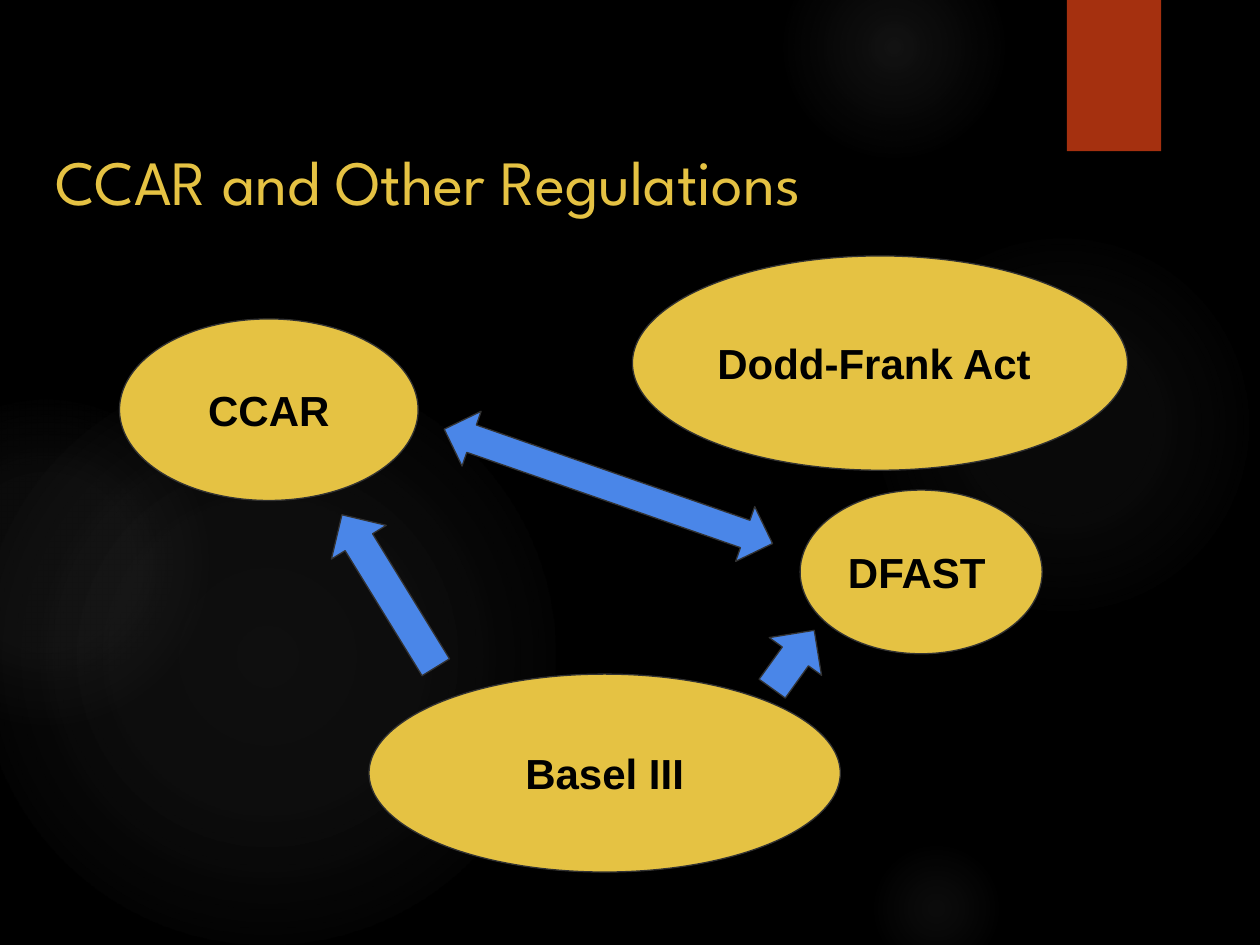
from lxml import etree
from pptx import Presentation
from pptx.dml.color import RGBColor
from pptx.enum import shapes, text
from pptx.oxml.ns import nsdecls, qn
from pptx.util import Cm, Pt

BLACK = RGBColor(0x00, 0x00, 0x00)
GOLD = RGBColor(0xE5, 0xC2, 0x43)
BLUE = RGBColor(0x4A, 0x86, 0xE8)
RUST = RGBColor(0xA5, 0x30, 0x0F)
OUTLINE = RGBColor(0x32, 0x32, 0x32)
GLOW = RGBColor(0x84, 0x84, 0x84)

KIND = shapes.MSO_SHAPE
CENTER, LEFT = text.PP_ALIGN.CENTER, text.PP_ALIGN.LEFT
INSET = Cm(0.25)

# left, top, diameter in cm; (position %, opacity %) from the centre outwards
GLOWS = [
    (17.5, 4.65, 7.82, [(0, 7), (36, 6), (69, 0)]),
    (15.8, -1.27, 4.45, [(0, 14), (36, 7), (73, 0)]),
    (17.5, 16.94, 2.74, [(0, 9), (36, 5), (66, 0)]),
    (-0.43, 7.42, 11.63, [(0, 11), (36, 10), (75, 0)]),
    (-2.34, 8.05, 6.55, [(0, 8), (36, 8), (72, 0)]),
]

# left, top, width, height in cm from the corner of the diagram
REGULATIONS = [
    ("CCAR", 0, 1.27, 6.02, 3.66, CENTER),
    ("Dodd-Frank Act", 10.34, 0, 9.98, 4.32, LEFT),
    ("Basel III", 5.03, 8.43, 9.5, 3.99, CENTER),
    ("DFAST", 13.72, 4.72, 4.88, 3.3, LEFT),
]
LINKS = [
    (KIND.LEFT_RIGHT_ARROW, 6.35, 4.06, 7.01, 1.17, 19.2),
    (KIND.UP_ARROW, 4.78, 4.95, 1.3, 3.61, 328.4),
    (KIND.UP_ARROW, 12.93, 7.41, 1.3, 1.45, 35.8),
]


def add_plain_shape(slide, kind, left, top, width, height, fill, outline=None):
    shape = slide.shapes.add_shape(kind, Cm(left), Cm(top), Cm(width), Cm(height))
    shape.shadow.inherit = False
    shape.fill.solid()
    shape.fill.fore_color.rgb = fill
    if outline is None:
        shape.line.fill.background()
    else:
        shape.line.color.rgb = outline
        shape.line.width = Pt(0.75)
    return shape


def write_line(frame, wording, font_name, size, color, align, anchor, bold=False):
    frame.margin_left = frame.margin_right = INSET
    frame.margin_top = frame.margin_bottom = INSET
    frame.word_wrap = True
    frame.vertical_anchor = anchor
    paragraph = frame.paragraphs[0]
    paragraph.text = wording
    paragraph.alignment = align
    font = paragraph.runs[0].font
    font.name, font.size, font.bold = font_name, Pt(size), bold
    font.color.rgb = color


def fade_outwards(shape, stops):
    """Replace the solid fill with a round gradient that turns transparent."""
    stop_xml = "".join(
        f'<a:gs pos="{position * 1000}"><a:srgbClr val="{GLOW}">'
        f'<a:alpha val="{opacity * 1000}"/></a:srgbClr></a:gs>'
        for position, opacity in stops
    )
    gradient = etree.fromstring(
        f'<a:gradFill {nsdecls("a")} rotWithShape="1"><a:gsLst>{stop_xml}</a:gsLst>'
        '<a:path path="circle">'
        '<a:fillToRect l="50000" t="50000" r="50000" b="50000"/>'
        "</a:path></a:gradFill>"
    )
    properties = shape._element.spPr
    properties.replace(properties.find(qn("a:solidFill")), gradient)


def add_backdrop(slide, left, top):
    slide.background.fill.solid()
    slide.background.fill.fore_color.rgb = BLACK
    for x, y, diameter, stops in GLOWS:
        glow = add_plain_shape(slide, KIND.OVAL, left + x, top + y,
                               diameter, diameter, GLOW)
        fade_outwards(glow, stops)
    add_plain_shape(slide, KIND.RECTANGLE, left + 21.51, top, 1.9, 3.05, RUST)


def add_title(slide, left, top, width, height):
    title = slide.shapes.add_textbox(Cm(left), Cm(top), Cm(width), Cm(height))
    write_line(title.text_frame, "CCAR and Other Regulations", "League Spartan",
               36, GOLD, LEFT, text.MSO_ANCHOR.BOTTOM)


def add_regulation_map(slide, left, top):
    for name, x, y, width, height, align in REGULATIONS:
        regulation = add_plain_shape(slide, KIND.OVAL, left + x, top + y,
                                     width, height, GOLD, OUTLINE)
        write_line(regulation.text_frame, name, "Arial", 24, BLACK, align,
                   text.MSO_ANCHOR.MIDDLE, bold=True)
    for kind, x, y, width, height, angle in LINKS:
        link = add_plain_shape(slide, kind, left + x, top + y,
                               width, height, BLUE, OUTLINE)
        link.rotation = angle


def main():
    deck = Presentation()
    deck.slide_width, deck.slide_height = Cm(25.4), Cm(19.05)
    slide = deck.slides.add_slide(deck.slide_layouts[6])
    add_backdrop(slide, 0, 0)
    add_title(slide, 0.86, 2.54, 23.67, 2.11)
    add_regulation_map(slide, 2.41, 5.16)
    deck.save("out.pptx")


if __name__ == "__main__":
    main()
